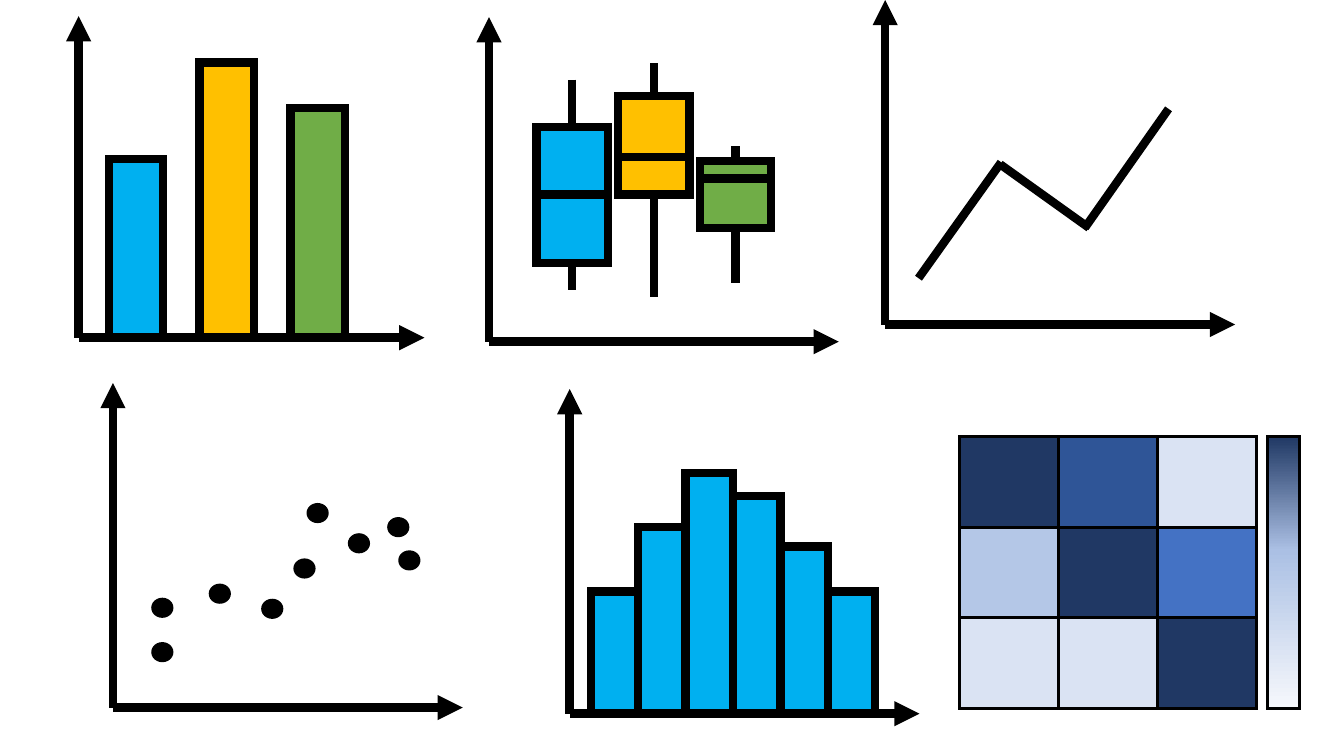
from copy import deepcopy

from lxml.etree import SubElement as Sub
from pptx import Presentation as Deck
from pptx.dml.color import RGBColor as Rgb
from pptx.enum.shapes import MSO_CONNECTOR as Link, MSO_SHAPE as Form
from pptx.oxml.ns import qn
from pptx.util import Inches, Pt

BLACK = Rgb(0x00, 0x00, 0x00)
SKY = Rgb(0x00, 0xB0, 0xF0)
GOLD = Rgb(0xFF, 0xC0, 0x00)
GREEN = Rgb(0x70, 0xAD, 0x47)
NAVY = Rgb(0x20, 0x38, 0x64)
DEEP = Rgb(0x2F, 0x55, 0x97)
BLUE = Rgb(0x44, 0x72, 0xC4)
SOFT = Rgb(0xB4, 0xC7, 0xE7)
PALE = Rgb(0xDA, 0xE3, 0xF3)
MIST = Rgb(0xAB, 0xC0, 0xE4)
WHITE = Rgb(0xF6, 0xF8, 0xFC)

THICK = {"width": Pt(6), "fill.color": BLACK}
THIN = {"width": Pt(2.25), "fill.color": BLACK}
SCALE = [(0, NAVY), (0.42, MIST), (1, WHITE)]


def style(line, form):
    """Set the line's values from a dict of formats."""
    line.fill.solid()
    for name, value in form.items():
        if name == "fill.color":
            line.color.rgb = value
        else:
            setattr(line, name, value)


def miter(shape):
    """Give the outline sharp corners and return its element."""
    edge = shape.element.spPr.find(qn("a:ln"))
    Sub(edge, qn("a:miter"), lim="800000")
    return edge


def stroke(group, start, end, arrow=False):
    """Draw a thick line, with an arrowhead if wanted."""
    ends = [Inches(v) for v in (*start, *end)]
    line = group.add_connector(Link.STRAIGHT, *ends)
    style(line.line, THICK)
    edge = miter(line)
    if arrow:
        Sub(edge, qn("a:tailEnd"), type="triangle")
    Sub(line.element.spPr, qn("a:effectLst"))


def shape(group, kind, place, fill, form=None):
    """Draw a filled shape, outlined if a line format is given."""
    item = group.add_shape(kind, *[Inches(v) for v in place])
    item.shadow.inherit = False
    item.fill.solid()
    item.fill.fore_color.rgb = fill
    if form:
        style(item.line, form)
        miter(item)
    else:
        item.line.fill.background()
    return item


def axes(slide, x, base, wide=3.47, tall=3.22):
    """Start a chart group with its two arrows."""
    group = slide.shapes.add_group_shape().shapes
    stroke(group, (x, base), (x, base - tall), True)
    stroke(group, (x, base), (x + wide, base), True)
    return group


def bars(group, left, base, wide, step, bins):
    """Stand evenly spaced bars on the base line."""
    for i, (tall, fill) in enumerate(bins):
        place = (left + i * step, base - tall, wide, tall)
        shape(group, Form.RECTANGLE, place, fill, THICK)


def boxes(group, left, wide, step, rows):
    """Draw boxes with median lines and whiskers."""
    for i, (high, top, mid, foot, low, fill) in enumerate(rows):
        x = left + i * step
        core = x + wide / 2
        place = (x, top, wide, foot - top)
        shape(group, Form.RECTANGLE, place, fill, THICK)
        stroke(group, (x, mid), (x + wide, mid))
        stroke(group, (core, high), (core, top))
        stroke(group, (core, foot), (core, low))


def dots(group, spots):
    """Scatter black dots at the given corners."""
    for x, y in spots:
        shape(group, Form.OVAL, (x, y, 0.22, 0.2), BLACK)


def heat(slide, left, top, wide, tall, grid):
    """Draw the grid of cells and its colour scale."""
    group = slide.shapes.add_group_shape().shapes
    for r, row in enumerate(grid):
        for c, fill in enumerate(row):
            place = (left + c * wide, top + r * tall, wide, tall)
            shape(group, Form.RECTANGLE, place, fill, THIN)
    place = (12.57, top, 0.32, tall * len(grid))
    key = shape(group, Form.RECTANGLE, place, NAVY, THIN)
    key.fill.gradient()
    key.fill.gradient_angle = 270
    stops = key.element.spPr.find(".//" + qn("a:gsLst"))
    stops.append(deepcopy(stops[0]))
    for stop, (spot, tint) in zip(key.fill.gradient_stops, SCALE):
        stop.position = spot
        stop.color.rgb = tint


def main():
    """Build the slide of six chart icons."""
    deck = Deck()
    deck.slide_width, deck.slide_height = Inches(13.33), Inches(7.5)
    slide = deck.slides.add_slide(deck.slide_layouts[6])

    boxes(axes(slide, 4.85, 3.39), 5.32, 0.71, 0.81, [
        (0.79, 1.26, 1.93, 2.61, 2.88, SKY),
        (0.63, 0.95, 1.56, 1.93, 2.95, GOLD),
        (1.45, 1.6, 1.77, 2.26, 2.81, GREEN)])

    bars(axes(slide, 0.78, 3.35, 3.43, 3.19), 1.08, 3.35, 0.54, 0.9,
         [(1.77, SKY), (2.73, GOLD), (2.28, GREEN)])

    dots(axes(slide, 1.12, 7.02), [
        (1.5, 6.37), (1.5, 5.93), (2.07, 5.79), (2.59, 5.94), (2.91, 5.54),
        (3.45, 5.29), (3.04, 4.99), (3.84, 5.13), (3.95, 5.46)])

    bars(axes(slide, 5.65, 7.08), 5.86, 7.08, 0.47, 0.47,
         [(tall, SKY) for tall in (1.21, 1.85, 2.39, 2.16, 1.66, 1.21)])

    trend = axes(slide, 8.78, 3.22)
    for start, end in [((9.11, 2.76), (9.93, 1.61)),
                       ((10.8, 2.26), (9.92, 1.63)),
                       ((11.59, 1.08), (10.76, 2.26))]:
        stroke(trend, start, end)

    heat(slide, 9.52, 4.33, 0.98, 0.9, [
        (NAVY, DEEP, PALE), (SOFT, NAVY, BLUE), (PALE, PALE, NAVY)])
    deck.save("out.pptx")


if __name__ == "__main__":
    main()
